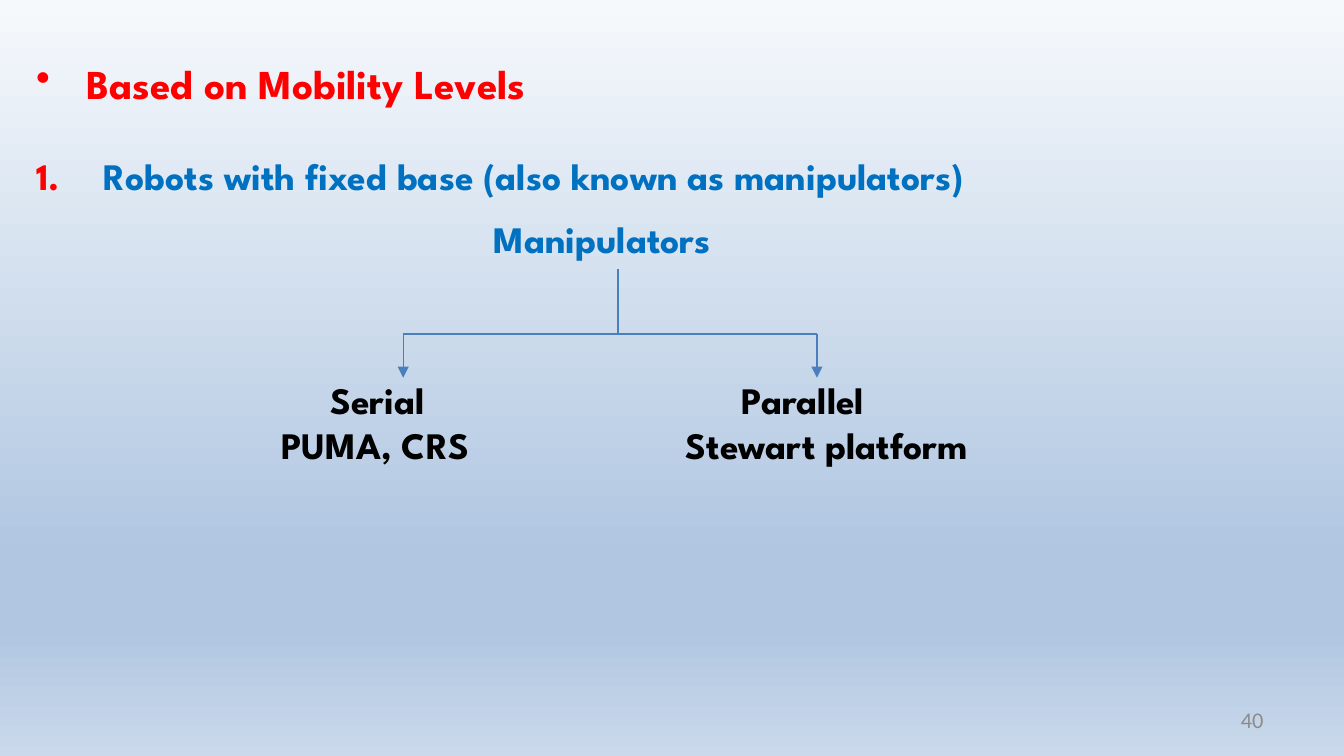
import pptx
import pptx.dml.color
import pptx.enum.shapes
import pptx.enum.text
import pptx.oxml
import pptx.oxml.ns
import pptx.util
from lxml import etree

Cm = pptx.util.Cm
Pt = pptx.util.Pt
RGB = pptx.dml.color.RGBColor
ALIGN = pptx.enum.text.PP_ALIGN
ANCHOR = pptx.enum.text.MSO_ANCHOR
qn = pptx.oxml.ns.qn

RED = RGB(0xFF, 0x00, 0x00)
BLUE = RGB(0x00, 0x70, 0xC0)
BLACK = RGB(0x00, 0x00, 0x00)
GRAY = RGB(0x8C, 0x8C, 0x8C)
LINE_BLUE = RGB(0x4B, 0x7E, 0xBC)
SKY = [
    (0, RGB(0xF6, 0xF9, 0xFC)),
    (74, RGB(0xB0, 0xC6, 0xE1)),
    (83, RGB(0xB0, 0xC6, 0xE1)),
    (100, RGB(0xCA, 0xD9, 0xEB)),
]


class SlideBuilder:
    heading = {"name": "League Spartan", "size": Pt(22), "bold": True}
    label = {"name": "League Spartan", "size": Pt(20), "bold": True}
    footer = {"name": "Calibri", "size": Pt(12), "bold": False}

    def __init__(self, slide):
        self.slide = slide

    def background(self, stops):
        fill = self.slide.background.fill
        fill.gradient()
        fill.gradient_angle = 270
        stop_list = self.slide.background._cSld.find(".//" + qn("a:gsLst"))
        for old_stop in list(stop_list):
            stop_list.remove(old_stop)
        for percent, color in stops:
            stop = etree.SubElement(stop_list, qn("a:gs"), pos=str(percent * 1000))
            etree.SubElement(stop, qn("a:srgbClr"), val=str(color))

    def fill_text(self, shape, text, style, color, align, anchor=ANCHOR.TOP):
        frame = shape.text_frame
        layout = {"word_wrap": True, "vertical_anchor": anchor,
                  "auto_size": pptx.enum.text.MSO_AUTO_SIZE.NONE,
                  "margin_top": Cm(0), "margin_bottom": Cm(0)}
        for key, value in layout.items():
            setattr(frame, key, value)
        paragraph = frame.paragraphs[0]
        spacing = {"alignment": align, "space_before": Pt(0), "line_spacing": 1.0}
        for key, value in spacing.items():
            setattr(paragraph, key, value)
        run = paragraph.add_run()
        run.text = text
        for key, value in style.items():
            setattr(run.font, key, value)
        run.font.color.rgb = color
        return paragraph

    def list_item(self, placeholder, text, top, style, color, indent, marker):
        box = {"left": Cm(0.43), "top": Cm(top), "width": Cm(24.33), "height": Cm(1.1)}
        for key, value in box.items():
            setattr(placeholder, key, value)
        paragraph = self.fill_text(placeholder, text, style, color, ALIGN.LEFT)
        properties = paragraph._p.get_or_add_pPr()
        properties.set("marL", str(Cm(indent)))
        properties.set("indent", str(-Cm(indent)))
        bullet_color = etree.SubElement(properties, qn("a:buClr"))
        etree.SubElement(bullet_color, qn("a:srgbClr"), val=str(RED))
        tag, attributes = marker
        etree.SubElement(properties, qn(tag), attributes)

    def centered_label(self, text, center, top, color=BLACK):
        width = 7
        box = self.slide.shapes.add_textbox(
            Cm(center - width / 2), Cm(top), Cm(width), Cm(1.1))
        self.fill_text(box, text, self.label, color, ALIGN.CENTER)

    def page_number(self, text):
        box = self.slide.shapes.add_textbox(Cm(18.21), Cm(13.23), Cm(5.92), Cm(0.76))
        self.fill_text(box, text, self.footer, GRAY, ALIGN.RIGHT, ANCHOR.MIDDLE)

    def line(self, start, end, arrow=False):
        connector = self.slide.shapes.add_connector(
            pptx.enum.shapes.MSO_CONNECTOR.STRAIGHT, *map(Cm, start + end))
        connector.line.color.rgb = LINE_BLUE
        connector.line.width = Pt(0.75)
        if arrow:
            etree.SubElement(connector.line._get_or_add_ln(), qn("a:tailEnd"), type="triangle")
        etree.SubElement(connector._element.spPr, qn("a:effectLst"))


def main():
    deck = pptx.Presentation()
    deck.slide_width = Cm(25.4)
    deck.slide_height = Cm(14.29)
    builder = SlideBuilder(deck.slides.add_slide(deck.slide_layouts[1]))
    title, body = builder.slide.placeholders

    builder.background(SKY)
    builder.list_item(title, "Based on Mobility Levels", 1.1, builder.heading, RED,
                      0.95, ("a:buChar", {"char": "•"}))
    builder.list_item(body, "Robots with fixed base (also known as manipulators)", 2.89,
                      builder.label, BLUE, 1.27, ("a:buAutoNum", {"type": "arabicPeriod"}))

    root_x, branch_y, arrow_y = 11.68, 6.31, 7.14
    serial_x, parallel_x = 7.62, 15.44
    builder.centered_label("Manipulators", 11.38, 4.09, BLUE)
    builder.line((root_x, 5.08), (root_x, branch_y))
    builder.line((serial_x, branch_y), (parallel_x, branch_y))
    for branch_x in (serial_x, parallel_x):
        builder.line((branch_x, branch_y), (branch_x, arrow_y), arrow=True)

    kind_y, example_y = 7.13, 7.98
    for kind, kind_x, example, example_x in (
            ("Serial", 7.14, "PUMA, CRS", 7.09),
            ("Parallel", 15.18, "Stewart platform", 15.63)):
        builder.centered_label(kind, kind_x, kind_y)
        builder.centered_label(example, example_x, example_y)

    builder.page_number("40")
    deck.save("out.pptx")


if __name__ == "__main__":
    main()
